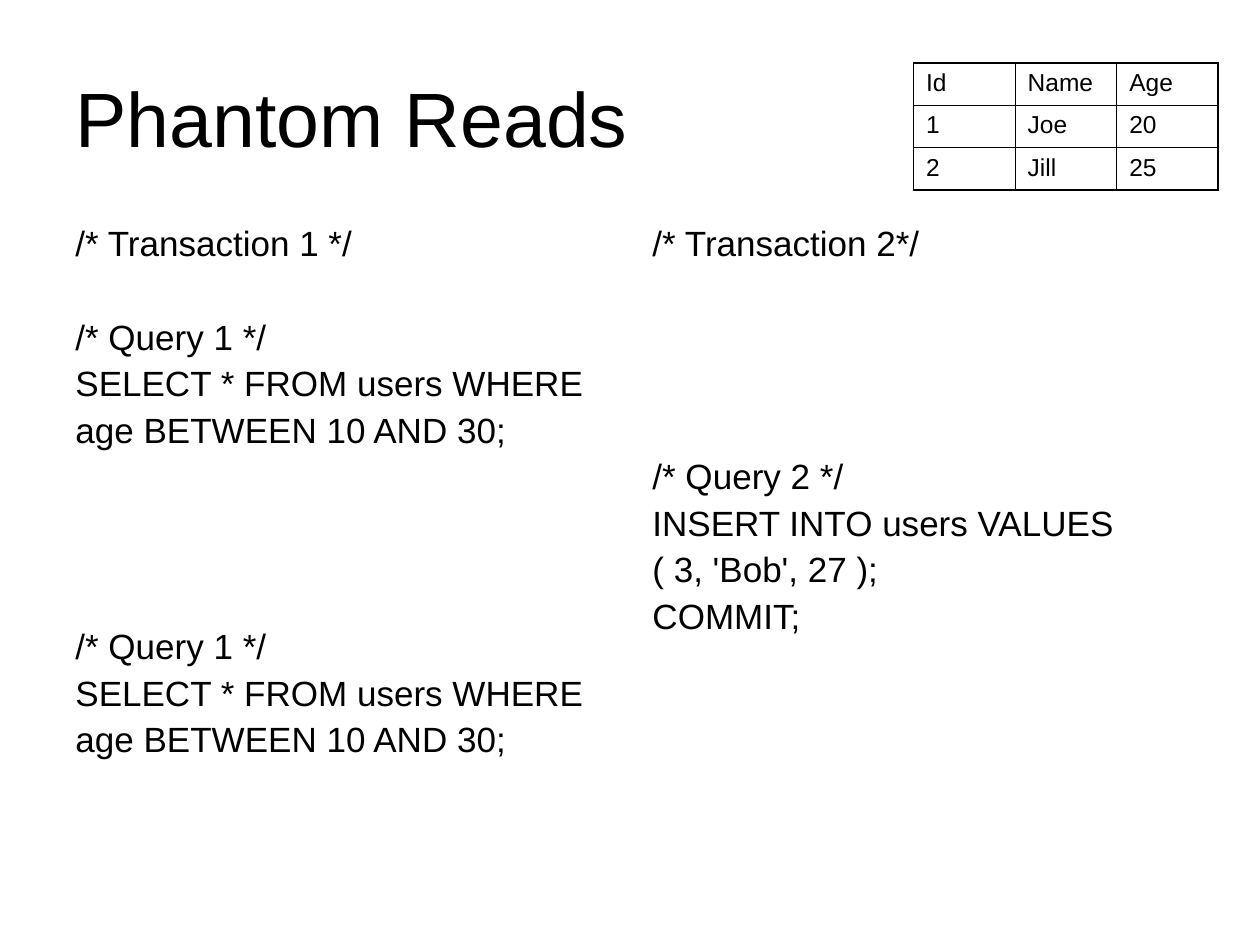
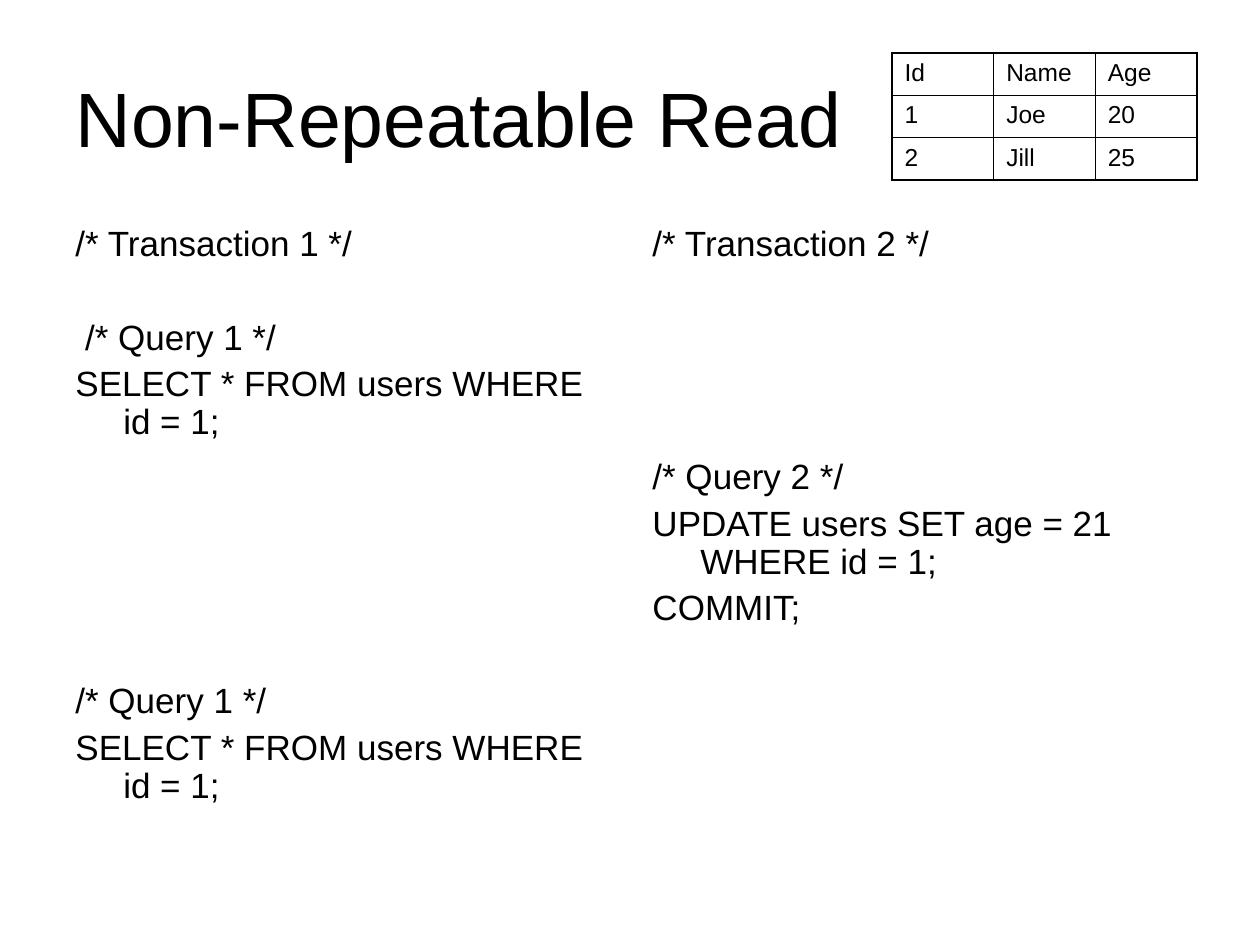
from lxml import etree
from pptx import Presentation
from pptx.dml.color import RGBColor
from pptx.enum.text import MSO_ANCHOR, MSO_AUTO_SIZE, PP_ALIGN
from pptx.oxml.ns import qn
from pptx.util import Emu, Inches, Pt

LEFT, MIDDLE, FIXED = PP_ALIGN.LEFT, MSO_ANCHOR.MIDDLE, MSO_AUTO_SIZE.NONE

# Content: each code line is (empty lines above it, text)
USERS = [("Id", "Name", "Age"), ("1", "Joe", "20"), ("2", "Jill", "25")]
SLIDES = [
    {
        "title": "Phantom Reads",
        "table_at": (7.25, 0.5),
        "transactions": [
            [
                (0, "/* Transaction 1 */"),
                (1, "/* Query 1 */"),
                (0, "SELECT * FROM users WHERE"),
                (0, "age BETWEEN 10 AND 30;"),
                (3.65, "/* Query 1 */"),
                (0, "SELECT * FROM users WHERE"),
                (0, "age BETWEEN 10 AND 30;"),
            ],
            [
                (0, "/* Transaction 2*/"),
                (4, "/* Query 2 */"),
                (0, "INSERT INTO users VALUES"),
                (0, "( 3, 'Bob', 27 );"),
                (0, "COMMIT;"),
            ],
        ],
    },
    {
        "title": "Non-Repeatable Read",
        "table_at": (7.08, 0.42),
        "transactions": [
            [
                (0, "/* Transaction 1 */"),
                (1, " /* Query 1 */"),
                (0, "SELECT * FROM users WHERE id = 1;"),
                (5, "/* Query 1 */"),
                (0, "SELECT * FROM users WHERE id = 1;"),
            ],
            [
                (0, "/* Transaction 2 */"),
                (4, "/* Query 2 */"),
                (0, "UPDATE users SET age = 21 WHERE id = 1;"),
                (0, "COMMIT;"),
            ],
        ],
    },
]

# Shared style and grid, in inches and points
FONT, INK = "Arial", "000000"
TITLE_SIZE, CODE_SIZE, TABLE_SIZE = 44, 20, 14
SLIDE_WIDTH, SLIDE_HEIGHT, MARGIN = 10, 7.5, 0.5
TITLE_TOP, TITLE_HEIGHT = 0.3, 1.25
CODE_TOP, CODE_WIDTH, CODE_HEIGHT = 1.75, 4.42, 4.95
CODE_LEFTS = (MARGIN, SLIDE_WIDTH - MARGIN - CODE_WIDTH)
HANGING = 0.38
LINE_SPACING, LINE_GAP, LINE_PITCH = 0.9, 5, 26.6
TABLE_WIDTH, TABLE_HEIGHT = 2.42, 1.01
OUTER_LINE, INNER_LINE = 1.08, 0.45


def color(hex_string):
    return RGBColor.from_string(hex_string)


def add_run(paragraph, text, size):
    paragraph.alignment = LEFT
    run = paragraph.add_run()
    run.text = text
    run.font.name = FONT
    run.font.size = Pt(size)
    run.font.bold = False
    run.font.color.rgb = color(INK)


def place_title(slide, text):
    title = slide.shapes.title
    title.left, title.top = Inches(MARGIN), Inches(TITLE_TOP)
    title.width = Inches(SLIDE_WIDTH - 2 * MARGIN)
    title.height = Inches(TITLE_HEIGHT)
    frame = title.text_frame
    frame.auto_size, frame.vertical_anchor = FIXED, MIDDLE
    add_run(frame.paragraphs[0], text, TITLE_SIZE)


def add_code(slide, left, lines):
    box = slide.shapes.add_textbox(
        Inches(left), Inches(CODE_TOP), Inches(CODE_WIDTH), Inches(CODE_HEIGHT))
    frame = box.text_frame
    frame.word_wrap, frame.auto_size = True, FIXED
    for index, (empty_lines, text) in enumerate(lines):
        paragraph = frame.add_paragraph() if index else frame.paragraphs[0]
        properties = paragraph._p.get_or_add_pPr()
        properties.set("marL", str(Inches(HANGING)))
        properties.set("indent", str(-Inches(HANGING)))
        paragraph.line_spacing = LINE_SPACING
        if index:
            paragraph.space_before = Pt(LINE_GAP + empty_lines * LINE_PITCH)
        add_run(paragraph, text, CODE_SIZE)


def set_borders(cell, outer_sides):
    properties = cell._tc.get_or_add_tcPr()
    for side, is_outer in outer_sides.items():
        width = Pt(OUTER_LINE if is_outer else INNER_LINE)
        line = etree.SubElement(properties, qn(f"a:ln{side}"), w=str(width))
        fill = etree.SubElement(line, qn("a:solidFill"))
        etree.SubElement(fill, qn("a:srgbClr"), val=INK)


def add_table(slide, left, top, rows):
    row_count, column_count = len(rows), len(rows[0])
    table = slide.shapes.add_table(
        row_count, column_count, Inches(left), Inches(top),
        Inches(TABLE_WIDTH), Inches(TABLE_HEIGHT)).table
    table.first_row = table.horz_banding = False
    for column in table.columns:
        column.width = Emu(Inches(TABLE_WIDTH) // column_count)
    for row_index, row in enumerate(rows):
        for column_index, text in enumerate(row):
            cell = table.cell(row_index, column_index)
            set_borders(cell, {
                "L": column_index == 0,
                "R": column_index == column_count - 1,
                "T": row_index == 0,
                "B": row_index == row_count - 1,
            })
            cell.fill.background()
            add_run(cell.text_frame.paragraphs[0], text, TABLE_SIZE)


def main():
    presentation = Presentation()
    presentation.slide_width = Inches(SLIDE_WIDTH)
    presentation.slide_height = Inches(SLIDE_HEIGHT)
    title_only = presentation.slide_layouts.get_by_name("Title Only")
    for content in SLIDES:
        slide = presentation.slides.add_slide(title_only)
        place_title(slide, content["title"])
        for left, lines in zip(CODE_LEFTS, content["transactions"]):
            add_code(slide, left, lines)
        add_table(slide, *content["table_at"], USERS)
    presentation.save("out.pptx")


if __name__ == "__main__":
    main()
